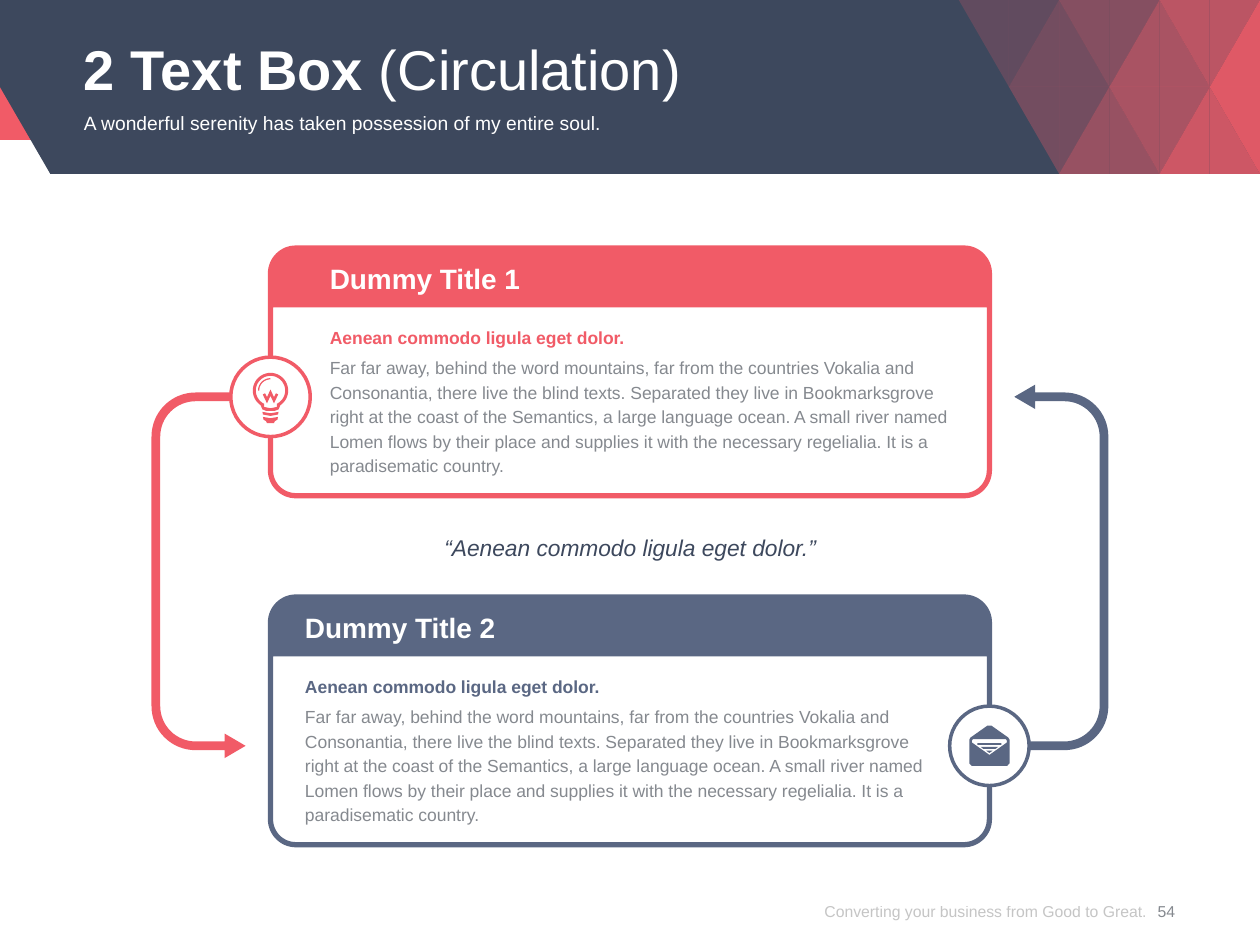
from math import cos, radians, sin

from lxml.etree import SubElement
from pptx import Presentation
from pptx.dml.color import RGBColor
from pptx.enum.shapes import MSO_SHAPE as SHAPE
from pptx.enum.text import MSO_ANCHOR as ANCHOR, MSO_AUTO_SIZE as AUTO, PP_ALIGN as ALIGN
from pptx.oxml.ns import qn
from pptx.util import Pt

COLORS = {
    "red": "F15B67", "navy": "3D485D", "slate": "5A6783", "white": "FFFFFF",
    "gray": "85898F", "footer": "8C8C8C",
}
W, H = 720, 540
CARD_STEP = 199.4
BULB_AT = (154.6, 226.8)
ENVELOPE_AT = (W - 154.6, 226.8 + CARD_STEP)
TOP_ALPHAS = [[20, 20, 40, 40, 70, 70], [None, 30, 30, 60, 60, 90]]
BOTTOM_ALPHAS = [[None, 30, 30, 60, 60, 90], [None, None, 50, 50, 80, 80]]
SUBTITLE = "Aenean commodo ligula eget dolor."
BODY = (
    "Far far away, behind the word mountains, far from the countries Vokalia and "
    "Consonantia, there live the blind texts. Separated they live in Bookmarksgrove "
    "right at the coast of the Semantics, a large language ocean. A small river named "
    "Lomen flows by their place and supplies it with the necessary regelialia. "
    "It is a paradisematic country."
)


def rgb(name):
    return RGBColor.from_string(COLORS[name])


def set_alpha(shape, percent):
    for color in shape.element.iter(qn("a:srgbClr")):
        SubElement(color, qn("a:alpha"), val=str(percent * 1000))


def paint(shape, color):
    shape.shadow.inherit = False
    shape.fill.solid()
    shape.fill.fore_color.rgb = rgb(color)
    shape.line.fill.background()
    return shape


def arc(cx, cy, radius, start, end, steps=16):
    angles = [radians(start + (end - start) * i / steps) for i in range(steps + 1)]
    return [(cx + radius * cos(a), cy + radius * sin(a)) for a in angles]


def bar(x, y, half, height):
    return [(x - half, y), (x + half, y), (x + half, y + height), (x - half, y + height)]


def outline(s, contours, color, at=(0, 0)):
    paths = [[(Pt(x + at[0]), Pt(y + at[1])) for x, y in c] for c in contours]
    builder = s.shapes.build_freeform(*paths[0][0])
    for i, path in enumerate(paths):
        if i:
            builder.move_to(*path[0])
        builder.add_line_segments(path[1:], close=True)
    return paint(builder.convert_to_shape(), color)


def write(shape, text, size=10, color="gray", bold=False, italic=False,
          align=ALIGN.LEFT, anchor=ANCHOR.TOP, leading=None, auto=AUTO.NONE):
    tf = shape.text_frame
    tf.word_wrap = True
    tf.auto_size = auto
    tf.vertical_anchor = anchor
    tf.margin_left = tf.margin_top = tf.margin_right = tf.margin_bottom = 0
    p = tf.paragraphs[0]
    p.alignment = align
    p.space_before = Pt(0)
    if leading:
        p.line_spacing = Pt(leading)
    r = p.add_run()
    r.text = text
    r.font.name = "Arial"
    r.font.size = Pt(size)
    r.font.bold = bold
    r.font.italic = italic
    r.font.color.rgb = rgb(color)
    return shape


def place(shape, x, y, w, h):
    shape.left, shape.top, shape.width, shape.height = Pt(x), Pt(y), Pt(w), Pt(h)


def label(s, x, y, w, h, text, **fmt):
    return write(s.shapes.add_textbox(Pt(x), Pt(y), Pt(w), Pt(h)), text, **fmt)


def header(s):
    paint(s.shapes.add_shape(SHAPE.RECTANGLE, 0, 0, Pt(W), Pt(80)), "red")
    outline(s, [[(0, 0), (W, 0), (W, 99.4), (28.8, 99.4), (0, 49.7)]], "navy")
    for row in range(2):
        for col in range(6):
            even = (row + col) % 2 == 0
            for alphas, base, tip in ((TOP_ALPHAS, row, row + 1), (BOTTOM_ALPHAS, row + 1, row)):
                alpha = alphas[row][col]
                if alpha is None:
                    continue
                apex = col + 1 if even == (tip > base) else col
                corners = [(col, base), (col + 1, base), (apex, tip)]
                triangle = [(W - (6 - i) * 28.68, j * 49.7) for i, j in corners]
                set_alpha(outline(s, [triangle], "red"), alpha)


def headings(s):
    title, body = s.shapes.title, s.placeholders[1]
    place(title, 48, 13.5, 624, 47)
    write(title, "2 Text Box ", size=32, color="white", bold=True,
          anchor=ANCHOR.MIDDLE, leading=42)
    write(title, "(Circulation)", size=32, color="white", anchor=ANCHOR.MIDDLE, leading=42)
    place(body, 48, 63.5, 624, 28)
    write(body, "A wonderful serenity has taken possession of my entire soul.",
          size=11, color="white")
    pPr = body.text_frame.paragraphs[0]._p.get_or_add_pPr()
    pPr.set("marL", "0")
    pPr.set("indent", "0")
    SubElement(pPr, qn("a:buNone"))
    for shape in (title, body):
        s.shapes.element.append(shape.element)


def arrows(s):
    top, bottom = BULB_AT[1], ENVELOPE_AT[1]
    cx, upper, lower = 111.8, top + 22.7, bottom - 22.7
    down = [(131.8, top - 2.5)] + arc(cx, upper, 25.2, 270, 180)
    down += arc(cx, lower, 25.2, 180, 90)
    down += [(128.4, bottom + 2.5), (128.4, bottom + 7), (140.4, bottom),
             (128.4, bottom - 7), (128.4, bottom - 2.5)]
    down += arc(cx, lower, 20.2, 90, 180) + arc(cx, upper, 20.2, 180, 270)
    down += [(131.8, top + 2.5)]
    outline(s, [down], "red")
    outline(s, [[(W - x, top + bottom - y) for x, y in down]], "slate")


def card(s, y, text_x, title, color):
    left, right, bottom = 153.1, 566.9, y + 144.5
    outer = arc(left + 16, y + 16, 16, 180, 270) + arc(right - 16, y + 16, 16, 270, 360)
    outer += arc(right - 16, bottom - 16, 16, 0, 90) + arc(left + 16, bottom - 16, 16, 90, 180)
    inner = [(left + 3, y + 35.4), (right - 3, y + 35.4)]
    inner += arc(right - 16, bottom - 16, 13, 0, 90) + arc(left + 16, bottom - 16, 13, 90, 180)
    outline(s, [outer, inner], color)
    fit = AUTO.SHAPE_TO_FIT_TEXT
    label(s, text_x, y + 61.8, 363, 70.5, BODY, leading=14, auto=fit)
    label(s, text_x, y + 9.3, 363, 19.4, title, size=16, color="white", bold=True, auto=fit)
    label(s, text_x, y + 44.8, 363, 13, SUBTITLE, color=color, bold=True, leading=14, auto=fit)


def badge(s, at, color):
    x, y = at
    d = 45.4
    ring = paint(s.shapes.add_shape(SHAPE.OVAL, Pt(x - d / 2), Pt(y - d / 2), Pt(d), Pt(d)), "white")
    ring.line.color.rgb = rgb(color)
    ring.line.width = Pt(2)


def bulb(s):
    badge(s, BULB_AT, "red")
    glass = arc(0, -3.6, 10.1, 124, 416, 40) + [(4.6, 7.2), (2.5, 8), (-2.5, 8), (-4.6, 7.2)]
    hollow = arc(0, -3.6, 8.4, 116, 424, 40) + [(3.6, 5.8), (0, 6.5), (-3.6, 5.8)]
    thread = [(-4.6, 8.6), (0, 9.4), (4.6, 8.6), (4.3, 10.1), (0, 10.9), (-4.3, 10.1)]
    base = [(-4.3, 11.5), (0, 12.2), (4.3, 11.5), (4, 13), (2.5, 13.9),
            (2, 15), (-2, 15), (-2.5, 13.9), (-4, 13)]
    filament = [(3.1, -2), (2, 0.2), (0, -4.2), (-2, 0.2), (-3.1, -2), (-4.4, -1.4),
                (-2, 3.7), (0, -0.6), (2, 3.7), (4.4, -1.4)]
    glint = arc(0, -3.6, 7.1, 180, 270) + arc(0, -3.6, 6.4, 270, 180)
    outline(s, [glass, hollow, thread, base], "red", BULB_AT)
    outline(s, [filament, glint], "red", BULB_AT)


def envelope(s):
    badge(s, ENVELOPE_AT, "slate")
    cover = [(-11.5, 10), (-10.2, 11.4), (10.2, 11.4), (11.5, 10), (11.5, -3.5),
             (10.8, -4.7), (1.2, -11.5), (-1.2, -11.5), (-10.8, -4.7), (-11.5, -3.5)]
    letter = [(-10, -3), (-9.4, -3.8), (9.4, -3.8), (10, -3), (10, -1.9), (0, 5.2), (-10, -1.9)]
    lines = [bar(0, -1.6, 6.9, 1.1), [(-5, 0.6), (5, 0.6), (3.6, 1.7), (-3.6, 1.7)],
             [(-1.9, 2.7), (1.9, 2.7), (0, 4.1)]]
    outline(s, [cover, letter] + lines, "slate", ENVELOPE_AT)


def main():
    prs = Presentation()
    prs.slide_width, prs.slide_height = Pt(W), Pt(H)
    s = prs.slides.add_slide(prs.slide_layouts[1])
    header(s)
    headings(s)
    arrows(s)
    card(s, 140.3, 188.5, "Dummy Title 1", "red")
    card(s, 140.3 + CARD_STEP, 174.3, "Dummy Title 2", "slate")
    bulb(s)
    envelope(s)
    label(s, 187.2, 306.5, 345.6, 14.5, f"“{SUBTITLE}”", size=13, color="navy", italic=True,
          align=ALIGN.CENTER, leading=14, auto=AUTO.SHAPE_TO_FIT_TEXT)
    credo = label(s, 435, 501.4, 220.2, 38.6, "Converting your business from Good to Great.",
                  size=9, color="footer", align=ALIGN.RIGHT, anchor=ANCHOR.MIDDLE)
    set_alpha(credo, 50)
    label(s, 649.6, 501.4, 33.8, 38.6, "54", size=9, align=ALIGN.CENTER, anchor=ANCHOR.MIDDLE)
    prs.save("out.pptx")


if __name__ == "__main__":
    main()
